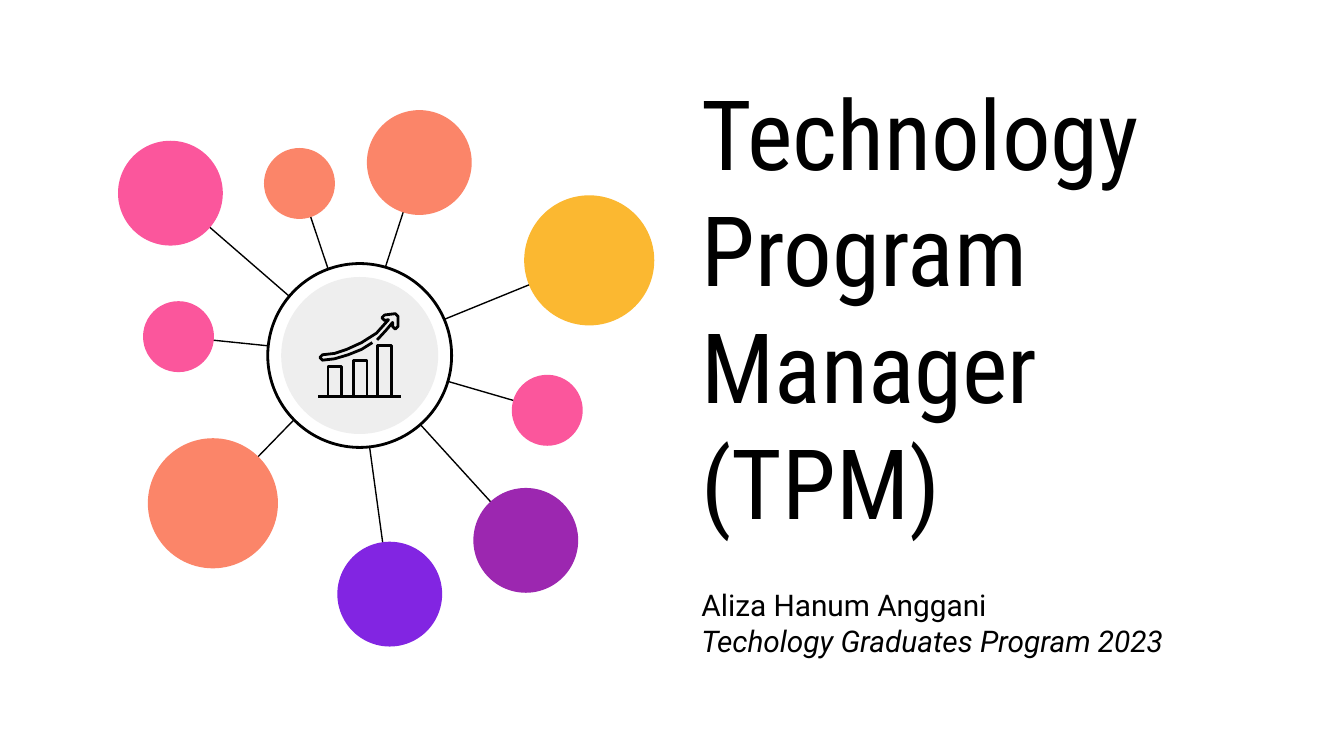
from dataclasses import dataclass

from lxml import etree
from pptx import Presentation
from pptx.dml.color import RGBColor
from pptx.enum.shapes import MSO_CONNECTOR, MSO_SHAPE
from pptx.enum.text import MSO_ANCHOR, MSO_AUTO_SIZE, PP_ALIGN
from pptx.oxml.ns import qn
from pptx.util import Inches, Pt

OVAL = MSO_SHAPE.OVAL
STRAIGHT = MSO_CONNECTOR.STRAIGHT
MIDDLE = MSO_ANCHOR.MIDDLE
LEFT = PP_ALIGN.LEFT
NO_AUTOFIT = MSO_AUTO_SIZE.NONE
TITLE_ONLY = 5


@dataclass(frozen=True)
class Theme:
    ink: str = "000000"
    paper: str = "FFFFFF"
    gray: str = "EEEEEE"
    yellow: str = "FBB831"
    coral: str = "FB8569"
    pink: str = "FB569C"
    purple: str = "9C27B0"
    violet: str = "8225E2"
    title_font: str = "Roboto Condensed"
    body_font: str = "Roboto"
    title_size: float = 52
    body_size: float = 16
    spoke_width: float = 0.75
    ring_width: float = 1.5


THEME = Theme()

BIG, MEDIUM, SMALL = 24.2, 19.5, 13.2
HUB = (44.9, 45.6)
SPOKE_END = (44.4, 45.5)
RING, DISC, ICON = 34.2, 29.2, 15.8
BUBBLES = [
    (87.6, 27.9, BIG, THEME.yellow),
    (17.6, 73.1, BIG, THEME.coral),
    (56, 9.7, MEDIUM, THEME.coral),
    (9.7, 15.4, MEDIUM, THEME.pink),
    (75.8, 80, MEDIUM, THEME.purple),
    (50.5, 90, MEDIUM, THEME.violet),
    (11.2, 42.1, SMALL, THEME.pink),
    (79.8, 55.8, SMALL, THEME.pink),
    (33.7, 13.6, SMALL, THEME.coral),
]

ICON_GRID = 63
ICON_BASE = 62
BARS = [(8, 40), (27, 35), (45, 24)]
BAR_WIDTH = 10
ARROW = [
    (41, 22), (33, 27), (23, 31), (13, 34), (4, 35), (2, 33), (4, 31),
    (13, 30), (22, 27), (33, 22), (44, 15), (53, 5), (50, 5.5), (48, 3.5),
    (50, 1.5), (58, 0.5), (60, 2.5), (60, 10), (58, 12), (56, 10), (56, 7),
    (51, 13), (44.5, 20),
]


def color(value):
    return RGBColor.from_string(value)


def share_box(deck, left, top, width, height):
    return (round(deck.slide_width * left), round(deck.slide_height * top),
            round(deck.slide_width * width), round(deck.slide_height * height))


def point_in(box, column, row, grid=100):
    left, top, width, height = box
    return round(left + width * column / grid), round(top + height * row / grid)


def add_circle(page, center, diameter, fill, outline=None):
    x, y = center
    circle = page.shapes.add_shape(
        OVAL, x - diameter // 2, y - diameter // 2, diameter, diameter)
    circle.shadow.inherit = False
    circle.fill.solid()
    circle.fill.fore_color.rgb = color(fill)
    if outline:
        circle.line.color.rgb = color(outline)
        circle.line.width = Pt(THEME.ring_width)
    else:
        circle.line.fill.background()


def add_spoke(page, start, end):
    spoke = page.shapes.add_connector(STRAIGHT, *start, *end)
    spoke.line.color.rgb = color(THEME.ink)
    spoke.line.width = Pt(THEME.spoke_width)
    etree.SubElement(spoke._element.spPr, qn("a:effectLst"))


def add_outline(page, box, strokes):
    first, *others = [
        [point_in(box, *point, ICON_GRID) for point in stroke] for stroke in strokes]
    builder = page.shapes.build_freeform(*first[0])
    builder.add_line_segments(first[1:], close=False)
    for stroke in others:
        builder.move_to(*stroke[0])
        builder.add_line_segments(stroke[1:], close=False)
    outline = builder.convert_to_shape()
    outline.shadow.inherit = False
    outline.fill.background()
    outline.line.color.rgb = color(THEME.ink)
    outline.line.width = Pt(THEME.ring_width)


def add_growth_icon(page, box):
    base = [(1, ICON_BASE), (ICON_BASE, ICON_BASE)]
    bars = [[(x, ICON_BASE), (x, top), (x + BAR_WIDTH, top), (x + BAR_WIDTH, ICON_BASE)]
            for x, top in BARS]
    add_outline(page, box, [base, *bars])
    add_outline(page, box, [ARROW])


def add_network(page, box):
    side = box[2]
    hub = point_in(box, *HUB)
    spoke_end = point_in(box, *SPOKE_END)
    for column, row, diameter, fill in BUBBLES:
        center = point_in(box, column, row)
        add_spoke(page, center, spoke_end)
        add_circle(page, center, round(side * diameter / 100), fill)
    add_circle(page, hub, round(side * RING / 100), THEME.paper, THEME.ink)
    add_circle(page, hub, round(side * DISC / 100), THEME.gray)
    icon = round(side * ICON / 100)
    add_growth_icon(page, (hub[0] - icon // 2, hub[1] - icon // 2, icon, icon))


def fill_text(shape, box, lines, font_name, size):
    shape.left, shape.top, shape.width, shape.height = box
    frame = shape.text_frame
    frame.word_wrap = True
    frame.auto_size = NO_AUTOFIT
    frame.vertical_anchor = MIDDLE
    frame.margin_left = frame.margin_right = Inches(0.1)
    frame.margin_top = frame.margin_bottom = Inches(0.1)
    frame.text = "\n".join(lines)
    for para in frame.paragraphs:
        para.alignment = LEFT
        para.line_spacing = 1.0
        para.font.name = font_name
        para.font.size = Pt(size)
        para.font.color.rgb = color(THEME.ink)
    return frame


def add_title(page, box):
    fill_text(page.shapes.title, box, ["Technology Program\vManager (TPM)"],
              THEME.title_font, THEME.title_size)


def add_author(page, box):
    frame = fill_text(page.shapes.add_textbox(*box), box,
                      ["Aliza Hanum Anggani", "Techology Graduates Program 2023"],
                      THEME.body_font, THEME.body_size)
    frame.paragraphs[1].font.italic = True


def main():
    deck = Presentation()
    deck.slide_width = Inches(10)
    deck.slide_height = deck.slide_width * 9 // 16
    page = deck.slides.add_slide(deck.slide_layouts[TITLE_ONLY])
    page.background.fill.solid()
    page.background.fill.fore_color.rgb = color(THEME.paper)
    add_title(page, share_box(deck, 0.512, 0.194, 0.376, 0.422))
    add_author(page, share_box(deck, 0.512, 0.783, 0.431, 0.082))
    add_network(page, share_box(deck, 0.088, 0.146, 0.4, 0.711))
    deck.save("out.pptx")


if __name__ == "__main__":
    main()
